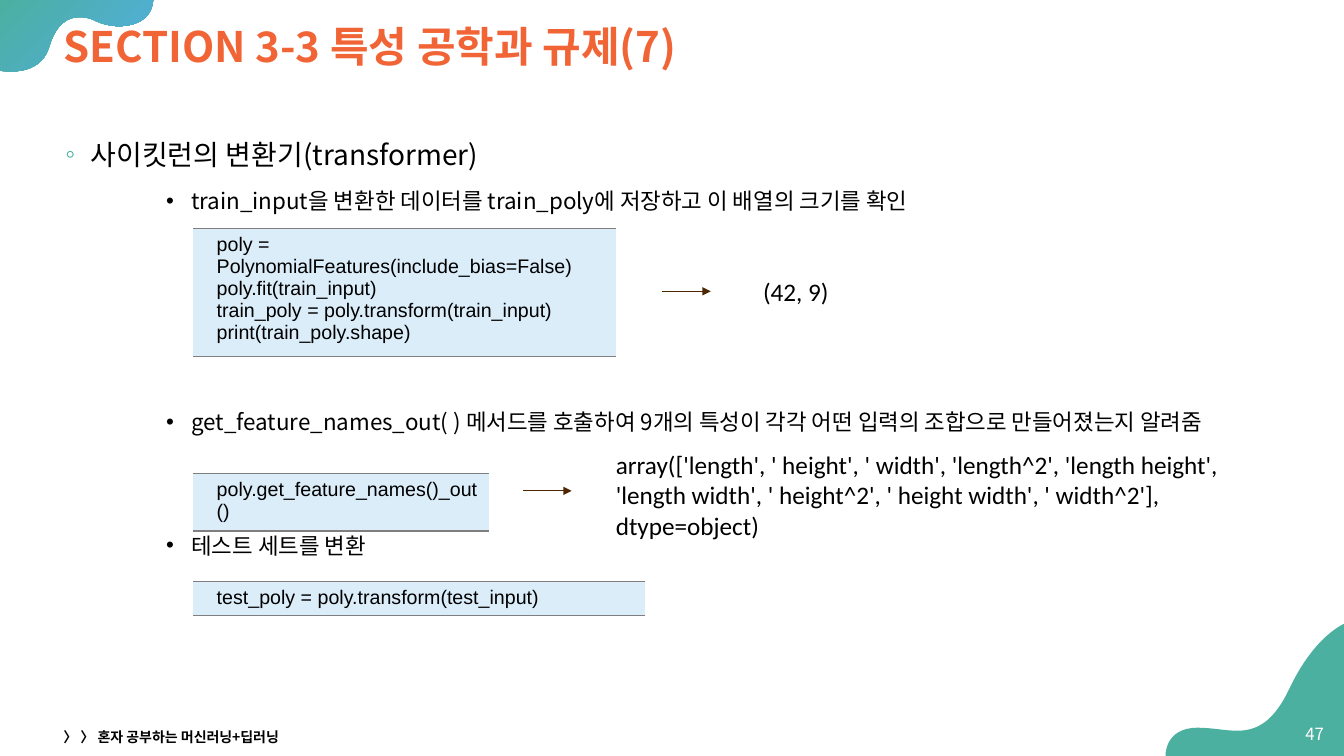
from lxml import etree
from pptx import Presentation
from pptx.dml.color import RGBColor
from pptx.enum.shapes import MSO_CONNECTOR
from pptx.enum.text import MSO_ANCHOR, PP_ALIGN
from pptx.oxml.ns import qn
from pptx.util import Inches, Pt

STRAIGHT = MSO_CONNECTOR.STRAIGHT
TOP, MIDDLE = MSO_ANCHOR.TOP, MSO_ANCHOR.MIDDLE
LEFT, RIGHT = PP_ALIGN.LEFT, PP_ALIGN.RIGHT
KOREAN, CODE, OUTPUT = "Noto Sans CJK KR", "Arial", "Calibri"
TEAL, BLUE, ORANGE, BLACK, WHITE = "4BB0A0", "52AEE1", "F06436", "000000", "FFFFFF"
CODE_FILL, CODE_BORDER, ARROW = "DCEDFA", "7F7F7F", "4D2702"

# Each segment holds an end point, or two control points and an end point.
TOP_CORNER = [
    (1.52, -0.02),
    [(-0.01, -0.02)],
    [(-0.01, 0.7)],
    [(-0.01, 0.7), (0.04, 0.71), (0.11, 0.71)],
    [(0.24, 0.71), (0.43, 0.67), (0.49, 0.46)],
    [(0.56, 0.23), (0.68, 0.17), (0.79, 0.17)],
    [(0.84, 0.17), (0.89, 0.18), (0.93, 0.2)],
    [(1.01, 0.24), (1.1, 0.26), (1.18, 0.26)],
    [(1.37, 0.26), (1.52, 0.17), (1.52, -0.02)],
]
BOTTOM_CORNER = [
    (13.35, 6.18),
    [(13.35, 6.18), (13.04, 6.29), (12.78, 6.85)],
    [(12.62, 7.18), (12.45, 7.25), (12.27, 7.25)],
    [(12.15, 7.25), (12.02, 7.22), (11.88, 7.22)],
    [(11.54, 7.22), (11.56, 7.51), (11.56, 7.51)],
    [(13.35, 7.51)],
]

# Text, size, left margin, space before, bullet, bullet colour
BULLETS = [
    ("사이킷런의 변환기(transformer)", 20, 0.25, 0, "◦", TEAL),
    ("train_input을 변환한 데이터를 train_poly에 저장하고 이 배열의 크기를 확인",
     16, 1.25, 4, "•", BLACK),
    ("get_feature_names_out( ) 메서드를 호출하여 9개의 특성이 각각 어떤 입력의 "
     "조합으로 만들어졌는지 알려줌", 16, 1.25, 131, "•", BLACK),
    ("테스트 세트를 변환", 16, 1.25, 61.5, "•", BLACK),
]

# Top, width, lines
CODE_BOXES = [
    (2.27, 4.21, ["poly = PolynomialFeatures(include_bias=False)",
                  "poly.fit(train_input)",
                  "train_poly = poly.transform(train_input)",
                  "print(train_poly.shape)"]),
    (4.7, 2.95, ["poly.get_feature_names()_out()"]),
    (5.77, 4.49, ["test_poly = poly.transform(test_input)"]),
]
FEATURE_NAMES = [
    "array(['length', ' height', ' width', 'length^2', 'length height',",
    "'length width', ' height^2', ' height width', ' width^2'],",
    "dtype=object)",
]


def color(value):
    return RGBColor.from_string(value)


def format_runs(paragraph, size, font, text_color, bold=False):
    for run in paragraph.runs:
        run.font.size = Pt(size)
        run.font.name = font
        run.font.bold = bold
        run.font.color.rgb = color(text_color)
        latin = run.font._element.find(qn("a:latin"))
        latin.addnext(etree.Element(qn("a:ea"), typeface=font))


def bend_segments(shape, segments):
    """Turn the straight segments that have control points into cubic curves."""
    lines = list(shape._element.iter(qn("a:lnTo")))
    for line, segment in zip(lines, segments):
        if len(segment) == 1:
            continue
        curve = etree.Element(qn("a:cubicBezTo"))
        for x, y in segment:
            etree.SubElement(curve, qn("a:pt"), x=str(Inches(x) - shape.left),
                             y=str(Inches(y) - shape.top))
        line.getparent().replace(line, curve)


def add_corner(slide, outline, fill_colors):
    start, *segments = outline
    builder = slide.shapes.build_freeform(*map(Inches, start))
    builder.add_line_segments([tuple(map(Inches, segment[-1])) for segment in segments],
                              close=True)
    shape = builder.convert_to_shape()
    bend_segments(shape, segments)
    shape.shadow.inherit = False
    shape.line.fill.background()
    if len(fill_colors) == 1:
        shape.fill.solid()
        shape.fill.fore_color.rgb = color(fill_colors[0])
        return
    shape.fill.gradient()
    shape.fill.gradient_angle = 315
    for stop, value, position in zip(shape.fill.gradient_stops, fill_colors, (0, 1)):
        stop.color.rgb = color(value)
        stop.position = position


def add_text(slide, box, lines, size, font, text_color=BLACK, bold=False,
             anchor=TOP, align=LEFT):
    text_frame = slide.shapes.add_textbox(*map(Inches, box)).text_frame
    text_frame.word_wrap = True
    text_frame.vertical_anchor = anchor
    text_frame.text = "\n".join(lines)
    for paragraph in text_frame.paragraphs:
        paragraph.alignment = align
        format_runs(paragraph, size, font, text_color, bold)
    return text_frame


def add_bullets(slide):
    texts = [bullet[0] for bullet in BULLETS]
    text_frame = add_text(slide, (0.55, 1.18, 12.59, 5.96), texts, 16, KOREAN)
    for paragraph, (_, size, margin, space, bullet, bullet_color) in zip(
            text_frame.paragraphs, BULLETS):
        properties = paragraph._p.get_or_add_pPr()
        properties.set("marL", str(Inches(margin)))
        properties.set("indent", str(Inches(-0.25)))
        bullet_fill = etree.SubElement(properties, qn("a:buClr"))
        etree.SubElement(bullet_fill, qn("a:srgbClr"), val=bullet_color)
        etree.SubElement(properties, qn("a:buFont"), typeface=CODE)
        etree.SubElement(properties, qn("a:buChar"), char=bullet)
        paragraph.line_spacing = 1.4
        paragraph.space_before = Pt(space)
        for run in paragraph.runs:
            run.font.size = Pt(size)


def add_code(slide, top, width, lines):
    """Add a one-cell table whose row grows to fit the code."""
    frame = slide.shapes.add_table(1, 1, Inches(1.91), Inches(top), Inches(width), Inches(0.19))
    table = frame.table
    table.first_row = table.horz_banding = False
    cell = table.cell(0, 0)
    cell.margin_left = Inches(0.24)
    cell.text_frame.text = "\n".join(lines)
    for paragraph in cell.text_frame.paragraphs:
        format_runs(paragraph, 14, CODE, BLACK)
    cell.fill.solid()
    cell.fill.fore_color.rgb = color(CODE_FILL)
    properties = cell._tc.get_or_add_tcPr()
    for index, side in enumerate(("a:lnT", "a:lnB")):
        border = etree.Element(qn(side), w=str(Pt(1)))
        border_fill = etree.SubElement(border, qn("a:solidFill"))
        etree.SubElement(border_fill, qn("a:srgbClr"), val=CODE_BORDER)
        properties.insert(index, border)


def add_arrow(slide, left, top):
    connector = slide.shapes.add_connector(
        STRAIGHT, Inches(left), Inches(top), Inches(left + 0.48), Inches(top))
    connector.line.color.rgb = color(ARROW)
    connector.line.width = Pt(0.75)
    etree.SubElement(connector.line._get_or_add_ln(), qn("a:tailEnd"), type="triangle")
    etree.SubElement(connector._element.spPr, qn("a:effectLst"))


def main():
    presentation = Presentation()
    presentation.slide_width = Inches(13.33)
    presentation.slide_height = Inches(7.5)
    slide = presentation.slides.add_slide(presentation.slide_layouts[6])

    add_corner(slide, TOP_CORNER, [TEAL, BLUE])
    add_corner(slide, BOTTOM_CORNER, [TEAL])
    add_bullets(slide)
    title = add_text(slide, (0.53, 0.12, 12.34, 0.73), ["SECTION 3-3 특성 공학과 규제(7)"],
                     30, KOREAN, ORANGE, bold=True, anchor=MIDDLE)
    title.paragraphs[0].line_spacing = 0.9
    add_text(slide, (12.79, 7.08, 0.44, 0.4), ["47"], 12, KOREAN, WHITE,
             anchor=MIDDLE, align=RIGHT)
    add_text(slide, (0.53, 7.19, 4.5, 0.24), ["〉 〉 혼자 공부하는 머신러닝+딥러닝"],
             10, KOREAN, bold=True, anchor=MIDDLE)

    for code_box in CODE_BOXES:
        add_code(slide, *code_box)
    add_arrow(slide, 6.57, 2.89)
    add_arrow(slide, 5.19, 4.87)
    add_text(slide, (7.47, 2.69, 2.42, 0.4), ["(42, 9)"], 18, OUTPUT)
    add_text(slide, (6.01, 4.41, 6.56, 1.01), FEATURE_NAMES, 18, OUTPUT)
    presentation.save("out.pptx")


if __name__ == "__main__":
    main()
